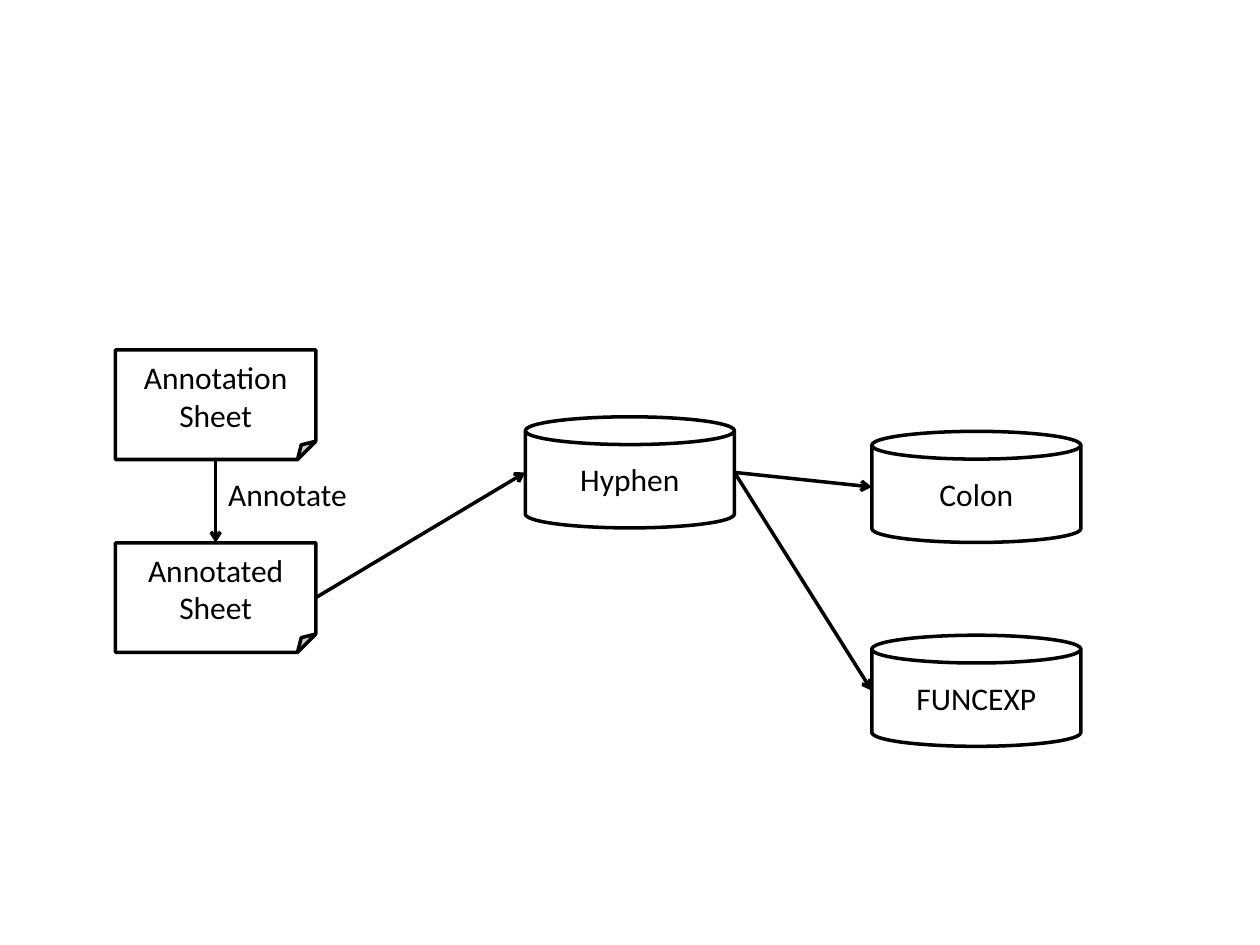
"""Build a slide showing annotation sheets flowing into databases."""
from dataclasses import dataclass

from lxml import etree
from pptx import Presentation
from pptx.dml.color import RGBColor
from pptx.enum.shapes import MSO_CONNECTOR, MSO_SHAPE
from pptx.enum.text import MSO_ANCHOR, MSO_AUTO_SIZE, PP_ALIGN
from pptx.oxml.ns import qn
from pptx.util import Pt

CAN = MSO_SHAPE.CAN
SHEET = MSO_SHAPE.FOLDED_CORNER
STRAIGHT = MSO_CONNECTOR.STRAIGHT
MIDDLE = MSO_ANCHOR.MIDDLE
CENTER = PP_ALIGN.CENTER
FIT = MSO_AUTO_SIZE.SHAPE_TO_FIT_TEXT

COLORS = {"ink": "000000", "paper": "FFFFFF"}
SIZES = {CAN: (119.5, 63.5), SHEET: (114.5, 62.6)}
FONT = "Calibri"
FONT_SIZE = 18
LINE_WIDTH = 2


@dataclass(frozen=True)
class Node:
    text: str
    kind: MSO_SHAPE
    x: float
    y: float

    def site(self, fx: float, fy: float) -> tuple[float, float]:
        w, h = SIZES[self.kind]
        return self.x + fx * w, self.y + fy * h


def rgb(name: str) -> RGBColor:
    return RGBColor.from_string(COLORS[name])


def write(tf, text: str, align=None) -> None:
    tf.text = text
    for p in tf.paragraphs:
        p.alignment = align
        p.font.name = FONT
        p.font.size = Pt(FONT_SIZE)
        p.font.color.rgb = rgb("ink")


def draw_node(s, node: Node) -> None:
    w, h = SIZES[node.kind]
    sp = s.shapes.add_shape(node.kind, Pt(node.x), Pt(node.y), Pt(w), Pt(h))
    sp.shadow.inherit = False
    sp.fill.solid()
    sp.fill.fore_color.rgb = rgb("paper")
    sp.line.color.rgb = rgb("ink")
    sp.line.width = Pt(LINE_WIDTH)
    sp.text_frame.vertical_anchor = MIDDLE
    write(sp.text_frame, node.text, CENTER)


def draw_arrow(s, start: tuple[float, float], end: tuple[float, float]) -> None:
    c = s.shapes.add_connector(STRAIGHT, *(Pt(v) for v in start + end))
    c.line.color.rgb = rgb("ink")
    c.line.width = Pt(LINE_WIDTH)
    etree.SubElement(c.line._get_or_add_ln(), qn("a:tailEnd"), type="arrow")
    etree.SubElement(c._element.spPr, qn("a:effectLst"))


def draw_label(s, text: str, x: float, y: float, w: float, h: float) -> None:
    tf = s.shapes.add_textbox(Pt(x), Pt(y), Pt(w), Pt(h)).text_frame
    tf.word_wrap = False
    tf.auto_size = FIT
    write(tf, text)


def main() -> None:
    prs = Presentation()
    prs.slide_width, prs.slide_height = Pt(720), Pt(540)
    s = prs.slides.add_slide(prs.slide_layouts[6])

    hyphen = Node("Hyphen", CAN, 300.2, 238.2)
    colon = Node("Colon", CAN, 498.2, 246.5)
    funcexp = Node("FUNCEXP", CAN, 498.2, 363)
    blank = Node("Annotation\nSheet", SHEET, 66, 200)
    annotated = Node("Annotated\nSheet", SHEET, 66, 310.2)
    for node in (hyphen, colon, funcexp, blank, annotated):
        draw_node(s, node)

    draw_arrow(s, blank.site(0.5, 1), annotated.site(0.5, 0))
    draw_label(s, "Annotate", 123.3, 268, 83.5, 29)
    for source, target in ((hyphen, colon), (hyphen, funcexp), (annotated, hyphen)):
        draw_arrow(s, source.site(1, 0.5), target.site(0, 0.5))

    prs.save("out.pptx")


main()
